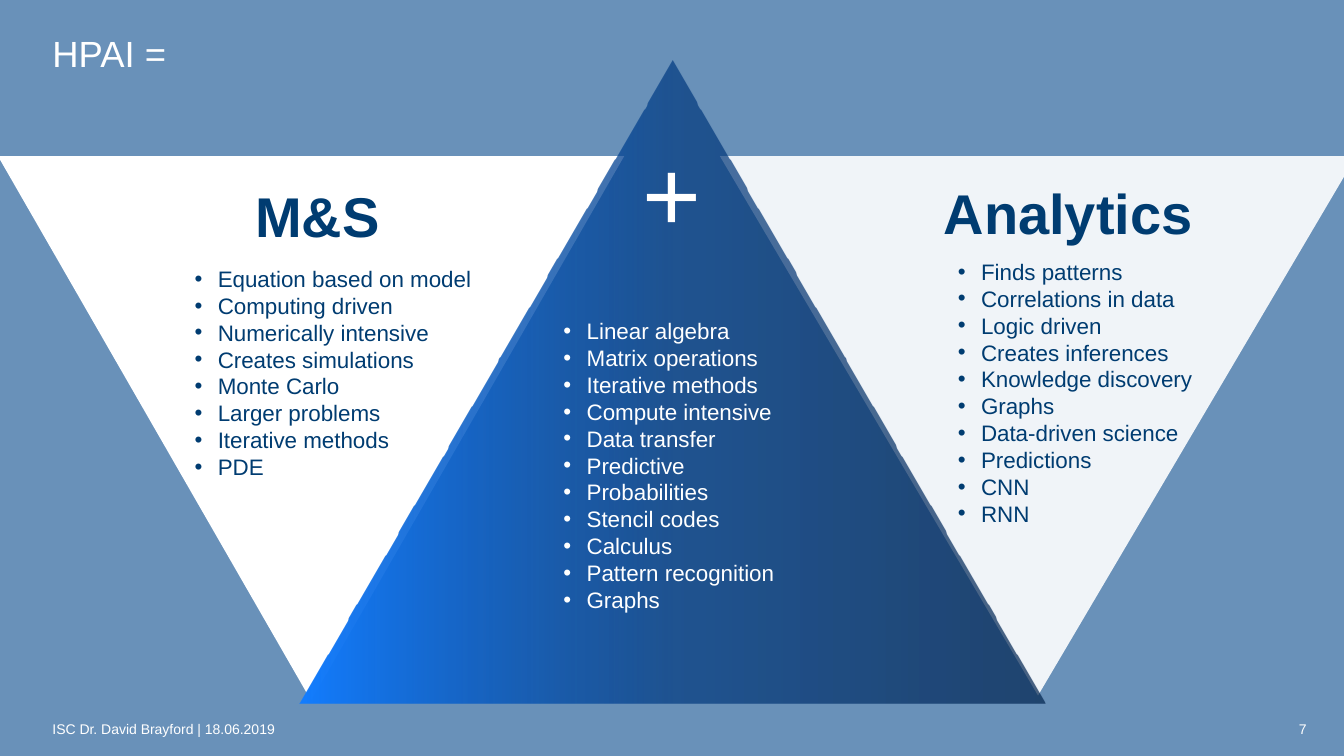
import pptx
import pptx.dml.color
import pptx.enum.shapes
import pptx.enum.text
import pptx.oxml
import pptx.oxml.ns
import pptx.util

Inches = pptx.util.Inches
Pt = pptx.util.Pt
Align = pptx.enum.text.PP_ALIGN
Anchor = pptx.enum.text.MSO_ANCHOR

COLORS = {
    "background": "6991B9",
    "white": "FFFFFF",
    "navy": "003C71",
    "bright": "137DFF",
    "blue": "003980",
    "deep": "00234E",
}


class Slide:
    font = "Arial"
    indent = Inches(0.23)
    list_pitch = Pt(19.2)

    def __init__(self, deck, layout):
        self.slide = deck.slides.add_slide(layout)
        self.shapes = self.slide.shapes
        self.slide.background.fill.solid()
        self.slide.background.fill.fore_color.rgb = self.rgb("background")

    def rgb(self, name):
        return pptx.dml.color.RGBColor.from_string(COLORS[name])

    def stop_xml(self, name, alpha):
        return (f'<a:srgbClr val="{COLORS[name]}">'
                f'<a:alpha val="{alpha * 1000}"/></a:srgbClr>')

    def triangle(self, left, top, width, height, fill_xml, rotation=0):
        kind = pptx.enum.shapes.MSO_SHAPE.ISOSCELES_TRIANGLE
        shape = self.shapes.add_shape(
            kind, Inches(left), Inches(top), Inches(width), Inches(height))
        shape.rotation = rotation
        shape.shadow.inherit = False
        shape.line.fill.background()
        geometry = shape._element.spPr.find(pptx.oxml.ns.qn("a:prstGeom"))
        geometry.addnext(pptx.oxml.parse_xml(fill_xml))

    def solid(self, name, alpha=100):
        namespace = pptx.oxml.ns.nsdecls("a")
        return f"<a:solidFill {namespace}>{self.stop_xml(name, alpha)}</a:solidFill>"

    def gradient(self, stops):
        namespace = pptx.oxml.ns.nsdecls("a")
        marks = "".join(f'<a:gs pos="{at * 1000}">{self.stop_xml(name, alpha)}</a:gs>'
                        for at, name, alpha in stops)
        return (f'<a:gradFill {namespace} rotWithShape="1"><a:gsLst>{marks}</a:gsLst>'
                '<a:lin ang="0" scaled="0"/></a:gradFill>')

    def text(self, words, box, size, color, bold=False, align=Align.LEFT,
             anchor=Anchor.TOP, inset=True, wrap=True, holder=None):
        """Fill a placeholder, or a new text box, and bring it to the front."""
        left, top, width, height = map(Inches, box)
        if holder is None:
            part = self.shapes.add_textbox(left, top, width, height)
        else:
            part = self.slide.placeholders[holder]
            part.left, part.top, part.width, part.height = left, top, width, height
            self.shapes._spTree.append(part._element)
        frame = part.text_frame
        frame.text = words
        frame.word_wrap = wrap
        frame.auto_size = pptx.enum.text.MSO_AUTO_SIZE.NONE
        frame.vertical_anchor = anchor
        if not inset:
            frame.margin_left = frame.margin_right = 0
            frame.margin_top = frame.margin_bottom = 0
        for paragraph in frame.paragraphs:
            paragraph.alignment = align
            paragraph.space_before = Pt(0)
            for run in paragraph.runs:
                run.font.name = self.font
                run.font.size = Pt(size)
                run.font.bold = bold
                run.font.color.rgb = self.rgb(color)
        return frame

    def title(self, words):
        frame = self.text(words, (0.52, 0.36, 11.46, 0.39), 26, "white",
                          inset=False, holder=0)
        frame.paragraphs[0].line_spacing = 0.9

    def bullets(self, items, box, color, holder=None):
        frame = self.text("\n".join(items), box, 16, color, holder=holder)
        for paragraph in frame.paragraphs:
            properties = paragraph._p.get_or_add_pPr()
            properties.set("marL", str(self.indent))
            properties.set("indent", str(-self.indent))
            for tag in (f'buFont %s typeface="{self.font}"', 'buChar %s char="•"'):
                xml = f"<a:{tag}/>" % pptx.oxml.ns.nsdecls("a")
                properties.append(pptx.oxml.parse_xml(xml))
            paragraph.line_spacing = self.list_pitch

    def footer(self, words, box, align, wrap):
        self.text(words, box, 10, "white", align=align, anchor=Anchor.MIDDLE,
                  inset=False, wrap=wrap)


def main():
    deck = pptx.Presentation()
    deck.slide_width = Inches(13.33)
    deck.slide_height = Inches(7.5)
    # The comparison layout has a title, two headings and two lists
    slide = Slide(deck, deck.slide_layouts[4])
    slide.title("HPAI =")

    # Modelling and simulation, on the left
    slide.triangle(-0.02, 1.55, 6.21, 5.4, slide.solid("white"), rotation=180)
    slide.text("M&S", (2.43, 1.75, 2.06, 0.77), 40, "navy", bold=True, holder=1)
    slide.bullets(
        ["Equation based on model", "Computing driven", "Numerically intensive",
         "Creates simulations", "Monte Carlo", "Larger problems",
         "Iterative methods", "PDE"],
        (1.83, 2.58, 3.49, 2.32), "navy", holder=2)

    # Analytics, on the right
    slide.triangle(7.14, 1.55, 6.31, 5.35, slide.solid("white", 90), rotation=180)
    slide.text("Analytics", (9.26, 1.72, 2.84, 1.06), 40, "navy", bold=True, holder=3)
    slide.bullets(
        ["Finds patterns", "Correlations in data", "Logic driven",
         "Creates inferences", "Knowledge discovery", "Graphs",
         "Data-driven science", "Predictions", "CNN", "RNN"],
        (9.4, 2.51, 2.82, 2.77), "navy", holder=4)

    # Shared methods, in the middle
    blend = [(0, "bright", 100), (50, "blue", 70), (100, "deep", 70)]
    slide.triangle(2.97, 0.6, 7.4, 6.38, slide.gradient(blend))
    slide.text("+", (5.9, 1.25, 1.53, 1.31), 72, "white", align=Align.CENTER)
    slide.bullets(
        ["Linear algebra", "Matrix operations", "Iterative methods",
         "Compute intensive", "Data transfer", "Predictive", "Probabilities",
         "Stencil codes", "Calculus", "Pattern recognition", "Graphs"],
        (5.49, 3.1, 2.78, 3.06), "white")

    # Footer line
    slide.footer("7", (12.61, 7.15, 0.35, 0.17), Align.RIGHT, True)
    slide.footer("ISC Dr. David Brayford | 18.06.2019",
                 (0.52, 7.15, 2.27, 0.17), Align.LEFT, False)

    deck.save("out.pptx")


if __name__ == "__main__":
    main()
